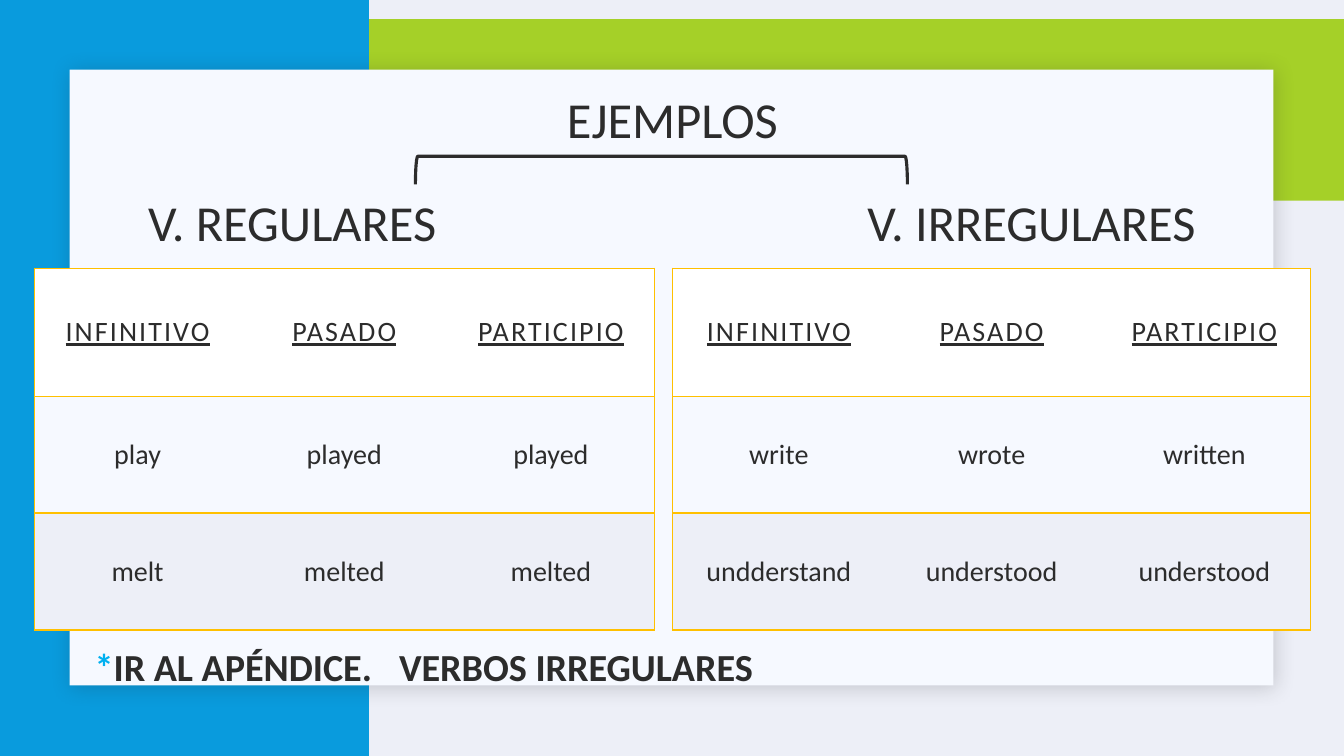
import dataclasses

import lxml.etree
import pptx
import pptx.dml.color
import pptx.enum.shapes
import pptx.enum.text
import pptx.oxml
import pptx.oxml.ns
import pptx.util

Inches, Pt = pptx.util.Inches, pptx.util.Pt
SHAPE = pptx.enum.shapes.MSO_SHAPE
ALIGN = pptx.enum.text.PP_ALIGN
qn = pptx.oxml.ns.qn

FONT = "Calibri"
INK, GOLD = "2C2C2C", "FFC000"
ROW_FILLS = ["FFFFFF", "F6F9FF", "EDEFF7"]
ROW_HEIGHTS = [1.27, 1.16, 1.16]
HEADERS = ["INFINITIVO", "PASADO", "PARTICIPIO"]


@dataclasses.dataclass
class Block:
    left: float
    top: float
    width: float
    height: float
    fill: str


@dataclasses.dataclass
class VerbTable:
    left: float
    col_width: float
    verbs: list[list[str]]


BLOCKS = [
    Block(0, 0.19, 13.33, 1.8, "A5D028"),
    Block(0, 0, 3.66, 7.5, "099BDD"),
    Block(0.69, 0.69, 11.94, 6.11, "F6F9FF"),
]
TABLES = [
    VerbTable(0.34, 2.05, [["play", "played", "played"],
                           ["melt", "melted", "melted"]]),
    VerbTable(6.67, 2.11, [["write", "wrote", "written"],
                           ["undderstand", "understood", "understood"]]),
]


def rgb(value: str) -> pptx.dml.color.RGBColor:
    return pptx.dml.color.RGBColor.from_string(value)


def set_font(font, size: float, color: str = INK, bold: bool = False) -> None:
    font.name, font.size, font.bold = FONT, Pt(size), bold
    font.color.rgb = rgb(color)


def add_tab(p, position: float, align: str) -> None:
    tabs = lxml.etree.SubElement(p._p.get_or_add_pPr(), qn("a:tabLst"))
    tab = lxml.etree.SubElement(tabs, qn("a:tab"))
    tab.set("pos", str(Inches(position)))
    tab.set("algn", align)


def add_block(s, block: Block):
    sp = s.shapes.add_shape(SHAPE.RECTANGLE, Inches(block.left), Inches(block.top),
                            Inches(block.width), Inches(block.height))
    sp.shadow.inherit = False
    sp.fill.solid()
    sp.fill.fore_color.rgb = rgb(block.fill)
    sp.line.fill.background()
    return sp


def add_soft_shadow(sp) -> None:
    effects = sp._element.spPr.find(qn("a:effectLst"))
    effects.append(pptx.oxml.parse_xml(
        f'<a:outerShdw {pptx.oxml.ns.nsdecls("a")} blurRad="{Pt(15)}" dist="{Pt(2)}" '
        'dir="2700000" algn="tl" rotWithShape="0"><a:srgbClr val="1F2125">'
        '<a:alpha val="20000"/></a:srgbClr></a:outerShdw>'))


def set_borders(cell, sides: str) -> None:
    tc_pr = cell._tc.get_or_add_tcPr()
    for i, side in enumerate("LRTB"):
        fill = (f'<a:solidFill><a:srgbClr val="{GOLD}"/></a:solidFill>'
                if side in sides else "<a:noFill/>")
        tc_pr.insert(i, pptx.oxml.parse_xml(
            f'<a:ln{side} {pptx.oxml.ns.nsdecls("a")} w="{Pt(1)}">{fill}</a:ln{side}>'))


def add_verb_table(s, spec_table: VerbTable) -> None:
    rows = [HEADERS] + spec_table.verbs
    cols = len(HEADERS)
    table = s.shapes.add_table(
        len(rows), cols, Inches(spec_table.left), Inches(2.66),
        Inches(spec_table.col_width * cols), Inches(sum(ROW_HEIGHTS))).table
    table.first_row = table.horz_banding = False
    for column in table.columns:
        column.width = Inches(spec_table.col_width)
    for i, words in enumerate(rows):
        table.rows[i].height = Inches(ROW_HEIGHTS[i])
        for j, word in enumerate(words):
            cell = table.cell(i, j)
            cell.fill.solid()
            cell.fill.fore_color.rgb = rgb(ROW_FILLS[i])
            cell.vertical_anchor = pptx.enum.text.MSO_ANCHOR.MIDDLE
            cell.margin_left = cell.margin_right = Inches(0.24)
            cell.margin_top = cell.margin_bottom = Inches(0.25)
            set_borders(cell, "TB" + "L" * (j == 0) + "R" * (j == cols - 1))
            p = cell.text_frame.paragraphs[0]
            p.alignment = ALIGN.CENTER
            set_font(p.font, 20)
            r = p.add_run()
            r.text = word
            if i == 0:
                p.font.underline = True
                r._r.get_or_add_rPr().set("spc", "150")


def fill_title(s) -> None:
    sp = s.shapes.title
    s.shapes._spTree.append(sp._element)  # bring in front of the blocks
    sp.left, sp.top, sp.width, sp.height = (Inches(v) for v in (1.17, 1.11, 11, 1.25))
    tf = sp.text_frame
    tf.auto_size = pptx.enum.text.MSO_AUTO_SIZE.NONE
    tf.vertical_anchor = pptx.enum.text.MSO_ANCHOR.MIDDLE
    tf.margin_left = tf.margin_right = Inches(0.3)
    heading, groups = tf.paragraphs[0], tf.add_paragraph()
    heading.alignment, groups.alignment = ALIGN.CENTER, ALIGN.LEFT
    add_tab(groups, 10.39, "r")
    groups.space_before = Pt(37)
    heading.add_run().text = "EJEMPLOS"
    groups.add_run().text = "V. REGULARES\tV. IRREGULARES"
    for p in tf.paragraphs:
        p.line_spacing = 0.85
        set_font(p.font, 36)


def add_bracket(s) -> None:
    sp = s.shapes.add_shape(SHAPE.RIGHT_BRACKET, Inches(6.42), Inches(-0.75),
                            Inches(0.28), Inches(4.88))
    sp.rotation = 270
    sp.shadow.inherit = False
    sp.fill.background()
    sp.line.color.rgb = rgb(INK)
    sp.line.width = Pt(2.25)


def add_note(s) -> None:
    tf = s.shapes.add_textbox(Inches(0.84), Inches(6.25), Inches(11), Inches(0.79)).text_frame
    tf.word_wrap = True
    tf.vertical_anchor = pptx.enum.text.MSO_ANCHOR.MIDDLE
    p = tf.paragraphs[0]
    add_tab(p, 3.02, "l")
    p.line_spacing = 0.85
    for text, color in (("*", "00B0F0"), ("IR AL APÉNDICE.\tVERBOS IRREGULARES", INK)):
        r = p.add_run()
        r.text = text
        set_font(r.font, 27.3, color, bold=True)


def main() -> None:
    prs = pptx.Presentation()
    prs.slide_width, prs.slide_height = Inches(13.33), Inches(7.5)
    s = prs.slides.add_slide(prs.slide_layouts[5])

    # Backdrop
    s.background.fill.solid()
    s.background.fill.fore_color.rgb = rgb("EDEFF7")
    panel = [add_block(s, block) for block in BLOCKS][-1]
    add_soft_shadow(panel)

    # Heading and verb tables
    fill_title(s)
    for verb_table in TABLES:
        add_verb_table(s, verb_table)
    add_bracket(s)

    # Footnote
    add_note(s)
    prs.save("out.pptx")


if __name__ == "__main__":
    main()
